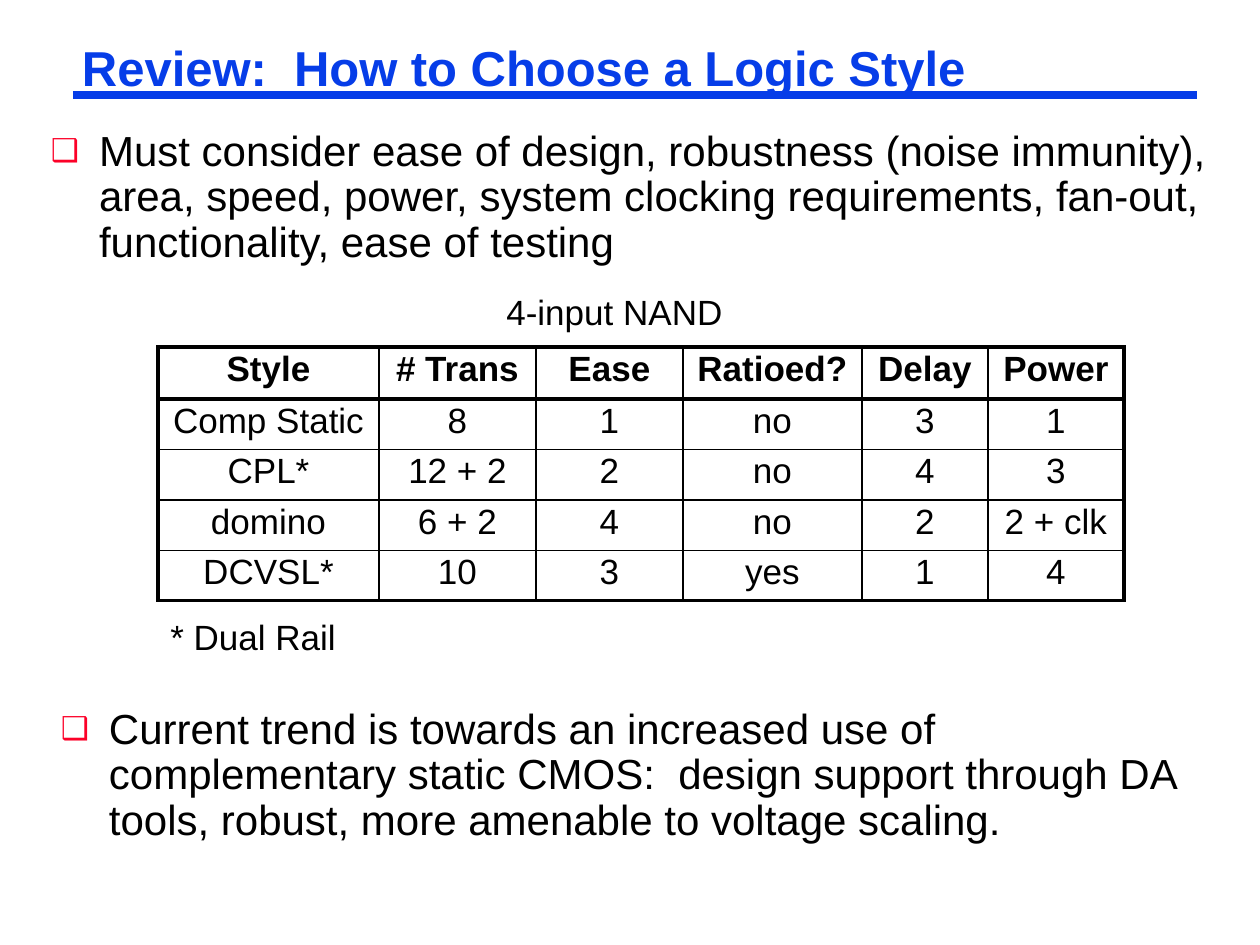
from lxml.etree import SubElement
from pptx import Presentation
from pptx.dml.color import RGBColor
from pptx.enum.shapes import MSO_CONNECTOR as CONNECTOR
from pptx.enum.text import MSO_ANCHOR as ANCHOR, MSO_AUTO_SIZE as AUTO, PP_ALIGN as ALIGN
from pptx.oxml.ns import qn
from pptx.util import Emu, Pt

EMU_PER_PX = 914400 / 126
FONT = "Arial"
COLORS = {"blue": "063DE8", "red": "FC0128", "black": "000000"}
THIN, THICK = 1, 2.25

COL_WIDTHS = [221, 157, 147, 179, 126, 136]
ROW_HEIGHTS = [52, 47, 48, 48, 49]
STYLES = [
    ["Style", "# Trans", "Ease", "Ratioed?", "Delay", "Power"],
    ["Comp Static", "8", "1", "no", "3", "1"],
    ["CPL*", "12 + 2", "2", "no", "4", "3"],
    ["domino", "6 + 2", "4", "no", "2", "2 + clk"],
    ["DCVSL*", "10", "3", "yes", "1", "4"],
]


def px(n):
    return Emu(round(n * EMU_PER_PX))


def rgb(name):
    return RGBColor.from_string(COLORS[name])


def format_text(p, size, color="black", bold=False):
    for r in p.runs:
        r.font.name, r.font.size, r.font.bold = FONT, Pt(size), bold
        r.font.color.rgb = rgb(color)


def set_insets(tf):
    tf.margin_left = tf.margin_right = px(9)
    tf.margin_top = tf.margin_bottom = px(4)


def add_title(slide, x, y, w, h, text):
    # Rule under the title
    rule = slide.shapes.add_connector(
        CONNECTOR.STRAIGHT, px(x), px(y + 53), px(x + w), px(y + 53))
    rule.line.color.rgb = rgb("blue")
    rule.line.width = Pt(4.5)
    SubElement(rule._element.spPr, qn("a:effectLst"))

    # Title text
    title = slide.shapes.title
    title.left, title.top, title.width, title.height = map(px, (x, y, w, h))
    tf = title.text_frame
    tf.text = text
    tf.word_wrap = True
    tf.vertical_anchor = ANCHOR.TOP
    set_insets(tf)
    p = tf.paragraphs[0]
    p.alignment, p.line_spacing = ALIGN.LEFT, 0.87
    format_text(p, 28, "blue", True)


def add_text(slide, x, y, w, h, text, size):
    tf = slide.shapes.add_textbox(px(x), px(y), px(w), px(h)).text_frame
    tf.text = text
    tf.word_wrap = False
    tf.auto_size = AUTO.SHAPE_TO_FIT_TEXT
    format_text(tf.paragraphs[0], size)
    return tf


def add_bullet(slide, x, y, w, h, text):
    tf = add_text(slide, x, y, w, h, text, 24)
    tf.word_wrap = True
    set_insets(tf)
    p = tf.paragraphs[0]
    p.line_spacing = 0.9
    # Red box bullet with a hanging indent
    pPr = p._p.get_or_add_pPr()
    pPr.set("marL", str(px(48)))
    pPr.set("indent", str(-px(48)))
    color = SubElement(pPr, qn("a:buClr"))
    SubElement(color, qn("a:srgbClr"), val=COLORS["red"])
    SubElement(pPr, qn("a:buSzPct"), val="75000")
    SubElement(pPr, qn("a:buFont"), typeface=FONT)
    SubElement(pPr, qn("a:buChar"), char="❑")


def set_borders(cell, widths):
    tcPr = cell._tc.get_or_add_tcPr()
    for i, (side, width) in enumerate(widths.items()):
        ln = SubElement(tcPr, qn(f"a:ln{side}"), w=str(Pt(width)))
        fill = SubElement(ln, qn("a:solidFill"))
        SubElement(fill, qn("a:srgbClr"), val=COLORS["black"])
        tcPr.insert(i, ln)


def add_style_table(slide, x, y):
    n_rows, n_cols = len(STYLES), len(STYLES[0])
    table = slide.shapes.add_table(
        n_rows, n_cols, px(x), px(y),
        px(sum(COL_WIDTHS)), px(sum(ROW_HEIGHTS))).table
    table.horz_banding = False
    for column, width in zip(table.columns, COL_WIDTHS):
        column.width = px(width)
    for i, (row, height) in enumerate(zip(table.rows, ROW_HEIGHTS)):
        row.height = px(height)
        for j, cell in enumerate(row.cells):
            cell.text = STYLES[i][j]
            cell.fill.background()
            p = cell.text_frame.paragraphs[0]
            p.alignment, p.line_spacing = ALIGN.CENTER, 0.9
            format_text(p, 20, bold=i == 0)
            # Thick frame and header rule, thin inner grid
            set_borders(cell, {
                "L": THICK if j == 0 else THIN,
                "R": THICK if j == n_cols - 1 else THIN,
                "T": THICK if i <= 1 else THIN,
                "B": THICK if i in (0, n_rows - 1) else THIN,
            })


def main():
    prs = Presentation()
    prs.slide_width, prs.slide_height = px(1260), px(945)
    slide = prs.slides.add_slide(prs.slide_layouts[5])

    add_title(slide, 73, 42, 1124, 58, "Review:  How to Choose a Logic Style")
    add_bullet(slide, 42, 126, 1176, 142,
               "Must consider ease of design, robustness (noise immunity), area, "
               "speed, power, system clocking requirements, fan-out, "
               "functionality, ease of testing")

    # Comparison table with its caption and footnote
    add_style_table(slide, 158, 347)
    add_text(slide, 494, 284, 242, 54, "4-input NAND", 20)
    add_text(slide, 158, 609, 192, 54, "* Dual Rail", 20)

    add_bullet(slide, 52, 704, 1176, 142,
               "Current trend is towards an increased use of complementary "
               "static CMOS:  design support through DA tools, robust, more "
               "amenable to voltage scaling.")
    prs.save("out.pptx")


if __name__ == "__main__":
    main()
